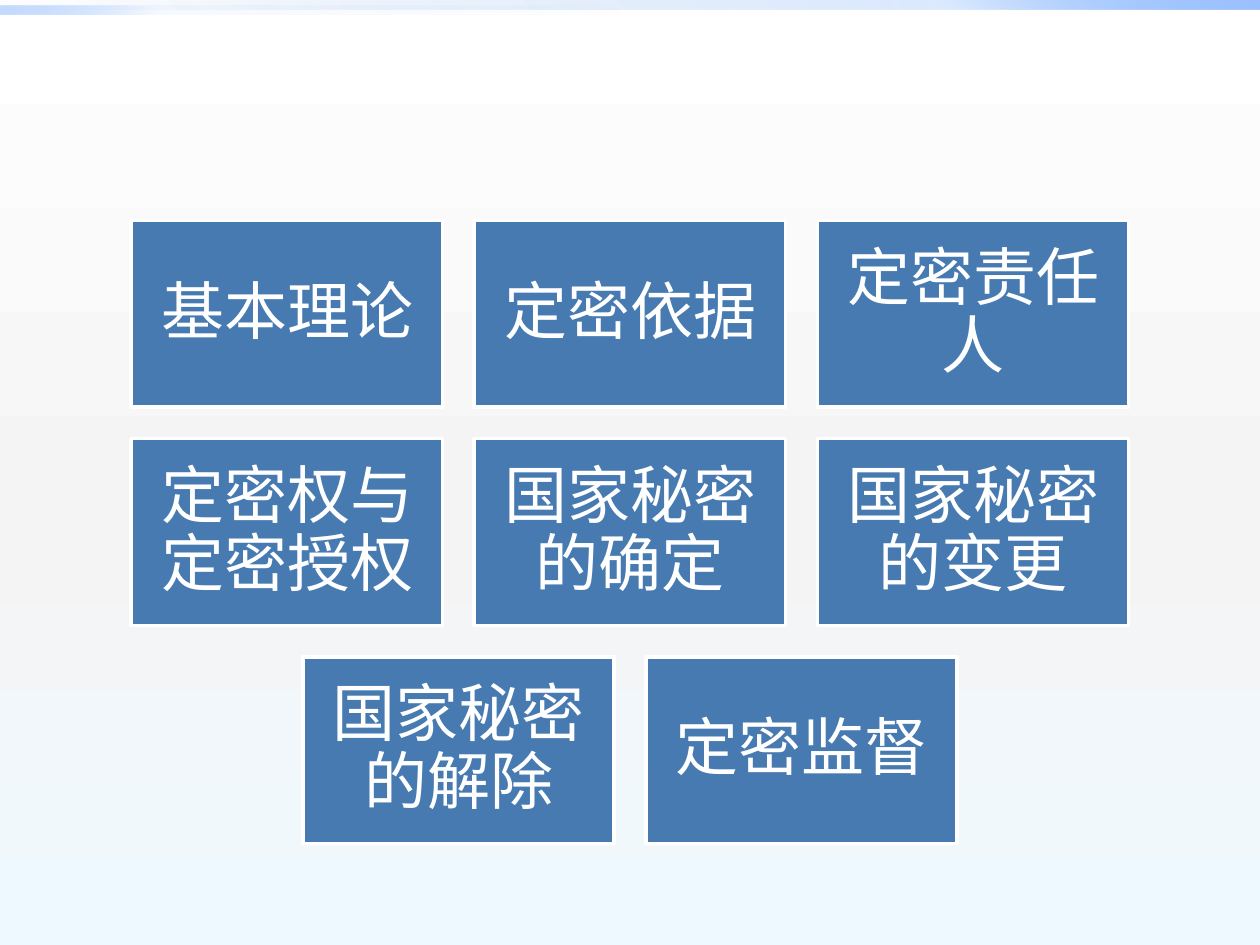
from lxml.etree import SubElement
from pptx import Presentation
from pptx.dml.color import RGBColor
from pptx.enum.shapes import MSO_SHAPE
from pptx.enum.text import MSO_ANCHOR, PP_ALIGN
from pptx.oxml.ns import qn
from pptx.util import Pt

SLIDE_WIDTH, SLIDE_HEIGHT = 720, 540
CARD_WIDTH, CARD_HEIGHT, CARD_GAP = 178, 106.7, 18
TOPIC_ROWS = [
    ["基本理论", "定密依据", "定密责任人"],
    ["定密权与定密授权", "国家秘密的确定", "国家秘密的变更"],
    ["国家秘密的解除", "定密监督"],
]


def color(value):
    return RGBColor.from_string(value)


def set_gradient(fill, owner, angle, stops):
    """Fill with (position, colour, opacity) stops in percent; angle runs clockwise."""
    fill.gradient()
    gradient = owner.find(".//" + qn("a:gradFill"))
    for child in list(gradient):
        gradient.remove(child)
    stop_list = SubElement(gradient, qn("a:gsLst"))
    for position, value, opacity in stops:
        stop = SubElement(stop_list, qn("a:gs"), pos=str(position * 1000))
        stop_color = SubElement(stop, qn("a:srgbClr"), val=value)
        if opacity < 100:
            SubElement(stop_color, qn("a:alpha"), val=str(opacity * 1000))
    SubElement(gradient, qn("a:lin"), ang=str(angle * 60000), scaled="0")


def add_rectangle(slide, left, top, width, height):
    shape = slide.shapes.add_shape(
        MSO_SHAPE.RECTANGLE, Pt(left), Pt(top), Pt(width), Pt(height))
    shape.shadow.inherit = False
    return shape


def add_background(slide):
    set_gradient(slide.background.fill, slide.element, 90,
                 [(0, "FFFFFF", 100), (55, "F4F4F4", 100), (100, "EEF9FF", 100)])


def add_top_bars(slide, left, top, width):
    bars = [
        (0, width, 315, (0, 20, 100)),
        (3, width / 2, 135, (0, 5, 60)),
    ]
    for offset, bar_width, angle, opacities in bars:
        bar = add_rectangle(slide, left, top + offset, bar_width, 5.6)
        stops = zip((0, 75, 100), ("0058B7", "4F95FF", "9EC2FF"), opacities)
        set_gradient(bar.fill, bar.element.spPr, angle, stops)
        bar.line.fill.background()


def add_card(slide, left, top, width, height, text):
    card = add_rectangle(slide, left, top, width, height)
    card.fill.solid()
    card.fill.fore_color.rgb = color("477AB1")
    card.line.color.rgb = color("FFFFFF")
    card.line.width = Pt(2)

    frame = card.text_frame
    frame.word_wrap = True
    frame.vertical_anchor = MSO_ANCHOR.MIDDLE
    frame.margin_left = frame.margin_right = Pt(10.8)
    frame.margin_top = frame.margin_bottom = Pt(10.8)
    paragraph = frame.paragraphs[0]
    paragraph.alignment = PP_ALIGN.CENTER
    paragraph.line_spacing = 0.9
    run = paragraph.add_run()
    run.text = text
    run.font.name = "Cambria"
    run.font.size = Pt(36)
    run.font.color.rgb = color("FFFFFF")


def add_card_grid(slide, left, top, width):
    """Stack the topic rows, each centred in the given width."""
    for row, topics in enumerate(TOPIC_ROWS):
        row_width = len(topics) * (CARD_WIDTH + CARD_GAP) - CARD_GAP
        row_left = left + (width - row_width) / 2
        for column, topic in enumerate(topics):
            add_card(slide,
                     row_left + column * (CARD_WIDTH + CARD_GAP),
                     top + row * (CARD_HEIGHT + CARD_GAP),
                     CARD_WIDTH, CARD_HEIGHT, topic)


def main():
    presentation = Presentation()
    presentation.slide_width = Pt(SLIDE_WIDTH)
    presentation.slide_height = Pt(SLIDE_HEIGHT)
    slide = presentation.slides.add_slide(presentation.slide_layouts[6])
    add_background(slide)
    add_top_bars(slide, 0, 0, SLIDE_WIDTH)
    add_card_grid(slide, 0, 126, SLIDE_WIDTH)
    presentation.save("out.pptx")


if __name__ == "__main__":
    main()
